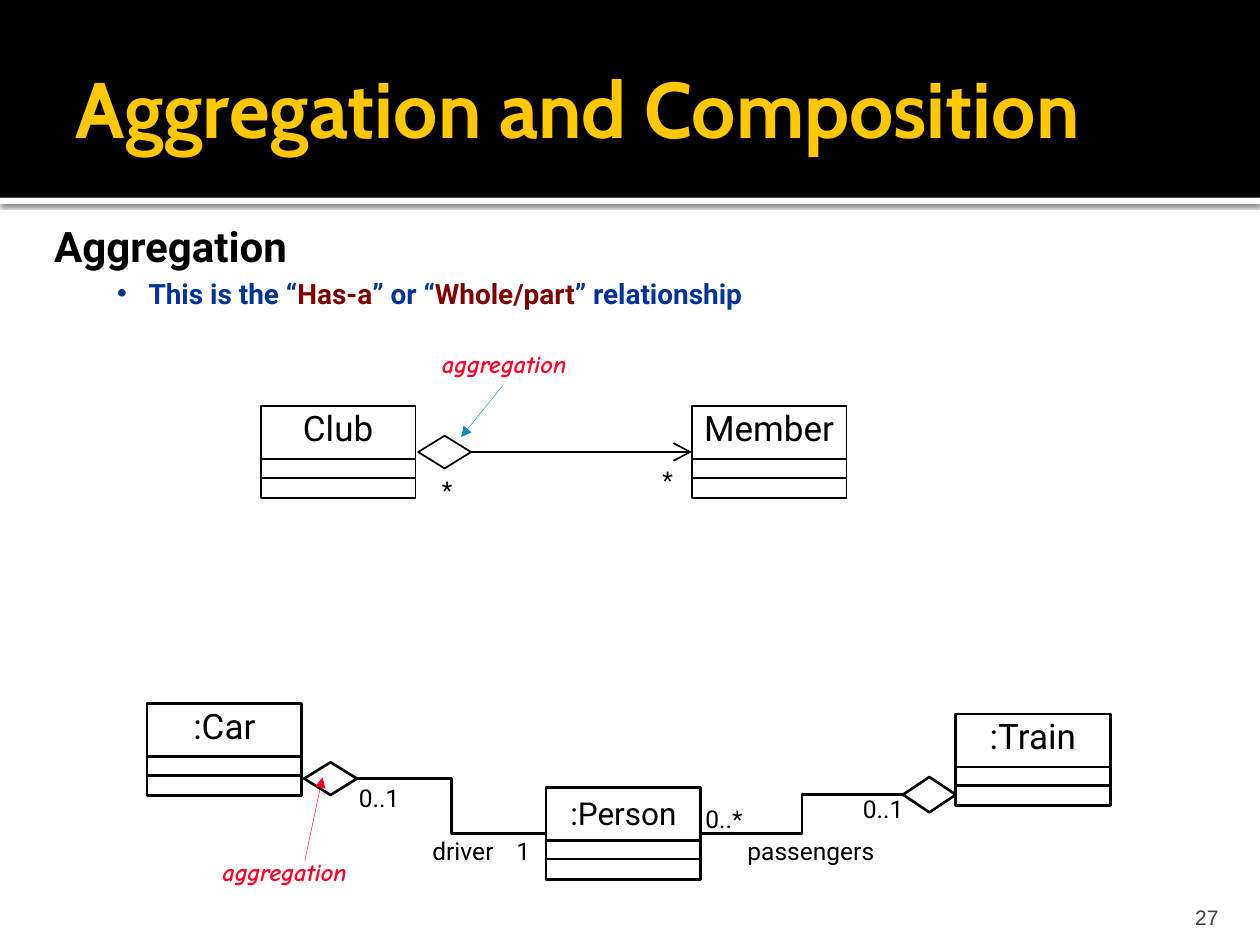
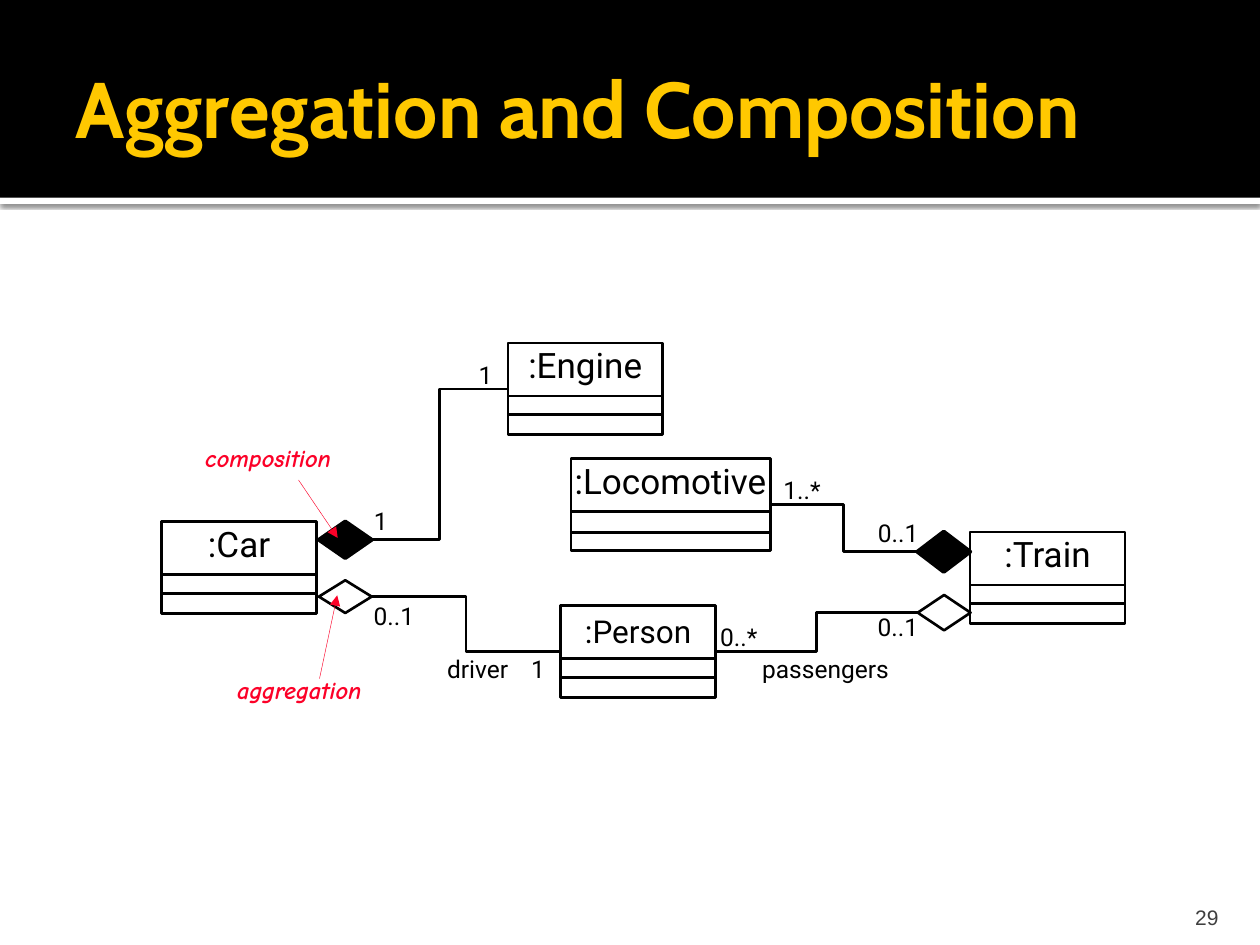
"""Build two UML slides about aggregation and composition."""
from dataclasses import dataclass
from typing import NamedTuple

from lxml import etree
from pptx import Presentation, util as u
from pptx.dml.color import RGBColor
from pptx.enum import shapes, text
from pptx.oxml import ns, parse_xml

Pt = u.Pt


@dataclass(frozen=True)
class Theme:
    black: str = "000000"
    white: str = "FFFFFF"
    title: str = "FFC800"
    number: str = "3F3F3F"
    bullet: str = "003399"
    keyword: str = "800000"
    callout: str = "FC0128"
    pointer: str = "168BBA"
    title_font: str = "Cabin"
    body_font: str = "Roboto"
    callout_font: str = "Comic Neue"
    number_font: str = "Arial"
    title_size: float = 45
    heading_size: float = 24
    class_size: float = 20
    bullet_size: float = 16
    label_size: float = 14
    number_size: float = 12
    thin: float = 1
    regular: float = 1.5
    heavy: float = 2.25
    hairline: float = 0.25


THEME = Theme()
TITLE = "Aggregation and Composition"
LABEL_WIDTHS = {"*": 20, "1": 22, "0..*": 37, "1..*": 37, "0..1": 38,
                "driver": 50, "passengers": 87, "composition": 91, "aggregation": 92}
LEFT, RIGHT = 1, 3


class Point(NamedTuple):
    x: float
    y: float

    def shifted(self, offset: "Point") -> "Point":
        return Point(self.x + offset.x, self.y + offset.y)


ORIGIN = Point(0, 0)


@dataclass(frozen=True)
class UmlClass:
    name: str
    at: Point
    width: float = 88.5
    line: float = THEME.regular
    size: float = THEME.class_size
    inset: float = 0.3
    compartment: float = 10.8


@dataclass(frozen=True)
class Diamond:
    at: Point
    height: float
    fill: str = THEME.white
    line: float = THEME.regular


@dataclass(frozen=True)
class Label:
    text: str
    at: Point


@dataclass(frozen=True)
class Callout:
    text: str
    at: Point
    start: Point
    tip: Point
    color: str = THEME.callout


def style(font, name: str, size: float, color: str, bold: bool = False, italic: bool = False) -> None:
    font.name, font.size, font.bold, font.italic = name, Pt(size), bold, italic
    font.color.rgb = RGBColor.from_string(color)


def set_insets(frame, left: float, top: float, right: float, bottom: float) -> None:
    frame.margin_left, frame.margin_top = Pt(left), Pt(top)
    frame.margin_right, frame.margin_bottom = Pt(right), Pt(bottom)


def add_box(slide, kind, at: Point, width: float, height: float, fill: str = "", line: float = 0):
    shape = slide.shapes.add_shape(kind, Pt(at.x), Pt(at.y), Pt(width), Pt(height))
    shape.shadow.inherit = False
    if fill:
        shape.fill.solid()
        shape.fill.fore_color.rgb = RGBColor.from_string(fill)
    else:
        shape.fill.background()
    if line:
        shape.line.color.rgb = RGBColor.from_string(THEME.black)
        shape.line.width = Pt(line)
    else:
        shape.line.fill.background()
    return shape


def add_text(slide, at: Point, width: float, height: float):
    box = slide.shapes.add_textbox(Pt(at.x), Pt(at.y), Pt(width), Pt(height))
    box.text_frame.word_wrap = True
    set_insets(box.text_frame, 7.2, 3.6, 7.2, 3.6)
    return box.text_frame


def add_line(slide, kind, start: Point, end: Point, color: str, width: float, head: str = ""):
    connector = slide.shapes.add_connector(kind, Pt(start.x), Pt(start.y), Pt(end.x), Pt(end.y))
    connector.line.color.rgb = RGBColor.from_string(color)
    connector.line.width = Pt(width)
    properties = connector.element.spPr
    if head:
        size = "lg" if head == "arrow" else "med"
        outline = properties.find(ns.qn("a:ln"))
        etree.SubElement(outline, ns.qn("a:tailEnd"), type=head, w=size, len=size)
    etree.SubElement(properties, ns.qn("a:effectLst"))
    return connector


def join(slide, kind, whole, part, width: float = THEME.regular, head: str = "") -> None:
    connector = add_line(slide, kind, ORIGIN, ORIGIN, THEME.black, width, head)
    connector.begin_connect(whole, RIGHT)
    connector.end_connect(part, LEFT)


def draw_class(slide, item: UmlClass, offset: Point = ORIGIN):
    at = item.at.shifted(offset)
    rectangle = shapes.MSO_SHAPE.RECTANGLE
    box = add_box(slide, rectangle, at, item.width, 52.5, line=item.line)
    frame = box.text_frame
    frame.word_wrap = False
    frame.vertical_anchor = text.MSO_ANCHOR.TOP
    set_insets(frame, 7.2, item.inset, 7.2, 0)
    frame.text = item.name
    frame.paragraphs[0].alignment = text.PP_ALIGN.CENTER
    style(frame.paragraphs[0].runs[0].font, THEME.body_font, item.size, THEME.black)
    add_box(slide, rectangle, at.shifted(Point(0, 30.2)), item.width, item.compartment, line=item.line)
    return box


def draw_diamond(slide, item: Diamond, offset: Point = ORIGIN):
    return add_box(slide, shapes.MSO_SHAPE.DIAMOND, item.at.shifted(offset), 30.2,
                   item.height, item.fill, item.line)


def draw_label(slide, item: Label, offset: Point = ORIGIN, callout: bool = False) -> None:
    frame = add_text(slide, item.at.shifted(offset), LABEL_WIDTHS[item.text], 24)
    frame.word_wrap = False
    frame.auto_size = text.MSO_AUTO_SIZE.SHAPE_TO_FIT_TEXT
    frame.text = item.text
    font = THEME.callout_font if callout else THEME.body_font
    color = THEME.callout if callout else THEME.black
    style(frame.paragraphs[0].runs[0].font, font, THEME.label_size, color, callout, callout)


def draw_callout(slide, item: Callout, offset: Point = ORIGIN) -> None:
    draw_label(slide, Label(item.text, item.at), offset, callout=True)
    add_line(slide, shapes.MSO_CONNECTOR.STRAIGHT, item.start.shifted(offset),
             item.tip.shifted(offset), item.color, THEME.hairline, "triangle")


def add_slide(presentation, number: str):
    slide = presentation.slides.add_slide(presentation.slide_layouts[5])
    rectangle = shapes.MSO_SHAPE.RECTANGLE
    rule = add_box(slide, rectangle, Point(0, 113), 720, 3.6, THEME.white)
    rule.element.spPr.remove(rule.element.spPr.find(ns.qn("a:effectLst")))
    rule.element.spPr.append(parse_xml(
        f'<a:effectLst {ns.nsdecls("a")}><a:outerShdw blurRad="{Pt(2.5)}" dist="{Pt(0.8)}" '
        f'dir="5400000" algn="t" rotWithShape="0"><a:srgbClr val="{THEME.black}">'
        '<a:alpha val="60000"/></a:srgbClr></a:outerShdw></a:effectLst>'))
    add_box(slide, rectangle, ORIGIN, 720, 113, THEME.black)

    title = slide.shapes.title
    title.element.getparent().append(title.element)
    title.left, title.top, title.width, title.height = Pt(36), Pt(12), Pt(648), Pt(98.6)
    frame = title.text_frame
    frame.text = TITLE
    frame.word_wrap = True
    frame.auto_size = text.MSO_AUTO_SIZE.NONE
    frame.vertical_anchor = text.MSO_ANCHOR.MIDDLE
    set_insets(frame, 7.2, 3.6, 3.6, 3.6)
    frame.paragraphs[0].alignment = text.PP_ALIGN.LEFT
    style(frame.paragraphs[0].runs[0].font, THEME.title_font, THEME.title_size, THEME.title, True)

    footer = add_text(slide, Point(645.8, 509.8), 57.6, 21.6)
    footer.margin_bottom = 0
    footer.vertical_anchor = text.MSO_ANCHOR.BOTTOM
    footer.text = number
    footer.paragraphs[0].alignment = text.PP_ALIGN.RIGHT
    style(footer.paragraphs[0].runs[0].font, THEME.number_font, THEME.number_size, THEME.number)
    return slide


def draw_definition(slide) -> None:
    frame = add_text(slide, Point(23.8, 122.4), 672, 387.4)
    frame.text = "Aggregation"
    style(frame.paragraphs[0].runs[0].font, THEME.body_font, THEME.heading_size, THEME.black, True)
    paragraph = frame.add_paragraph()
    paragraph.level = 1
    properties = paragraph._p.get_or_add_pPr()
    properties.set("marL", str(Pt(54)))
    properties.set("indent", str(Pt(-18)))
    color = etree.SubElement(properties, ns.qn("a:buClr"))
    etree.SubElement(color, ns.qn("a:srgbClr"), val=THEME.bullet)
    etree.SubElement(properties, ns.qn("a:buFont"), typeface=THEME.number_font)
    etree.SubElement(properties, ns.qn("a:buChar"), char="•")
    paragraph.space_before = Pt(3.2)
    parts = ("This is the “", "Has-a", "” or “", "Whole/part", "” relationship")
    for index, part in enumerate(parts):
        run = paragraph.add_run()
        run.text = part
        color = THEME.keyword if index % 2 else THEME.bullet
        style(run.font, THEME.body_font, THEME.bullet_size, color, True)


def draw_club(slide) -> None:
    draw_class(slide, UmlClass("Club", Point(149, 232), line=THEME.thin))
    member = draw_class(slide, UmlClass("Member", Point(395.3, 232), line=THEME.thin))
    diamond = draw_diamond(slide, Diamond(Point(239, 249), 18.7, line=THEME.thin))
    join(slide, shapes.MSO_CONNECTOR.STRAIGHT, diamond, member, THEME.thin, "arrow")
    for at in (Point(245.5, 268), Point(371.5, 262)):
        draw_label(slide, Label("*", at))
    draw_callout(slide, Callout("aggregation", Point(245.5, 196), Point(287.3, 220.3),
                                Point(263.5, 249.8), THEME.pointer))


def draw_travel(slide, offset: Point = ORIGIN) -> None:
    draw_class(slide, UmlClass(":Car", Point(84, 402)), offset)
    draw_class(slide, UmlClass(":Train", Point(546, 408)), offset)
    person = draw_class(slide, UmlClass(":Person", Point(312, 450), size=18, inset=3.6), offset)
    car_end = draw_diamond(slide, Diamond(Point(173.8, 435.6), 18.7), offset)
    train_end = draw_diamond(slide, Diamond(Point(516, 444), 20.2), offset)
    join(slide, shapes.MSO_CONNECTOR.ELBOW, car_end, person)
    join(slide, shapes.MSO_CONNECTOR.ELBOW, person, train_end)
    for label in (Label("0..1", Point(198, 444)), Label("0..1", Point(486, 450)),
                  Label("0..*", Point(396, 456)), Label("driver", Point(240, 474)),
                  Label("1", Point(288, 474)), Label("passengers", Point(420, 474))):
        draw_label(slide, label, offset)
    draw_callout(slide, Callout("aggregation", Point(120, 486), Point(174.2, 491.8),
                                Point(184.3, 444.2)), offset)


def draw_composition(slide) -> None:
    engine = draw_class(slide, UmlClass(":Engine", Point(290.2, 196)))
    locomotive = draw_class(slide, UmlClass(":Locomotive", Point(326.2, 262), 114, compartment=12.2))
    car_end = draw_diamond(slide, Diamond(Point(182.2, 298), 20.9, THEME.black, THEME.heavy))
    train_end = draw_diamond(slide, Diamond(Point(524.2, 303.8), 23, THEME.black, THEME.heavy))
    join(slide, shapes.MSO_CONNECTOR.ELBOW, car_end, engine)
    join(slide, shapes.MSO_CONNECTOR.ELBOW, locomotive, train_end)
    for label in (Label("1", Point(206.6, 285.8)), Label("1", Point(266.4, 202.3)),
                  Label("1..*", Point(440.6, 267.8)), Label("0..1", Point(494.6, 292.3))):
        draw_label(slide, label)
    draw_callout(slide, Callout("composition", Point(110.2, 249.8), Point(170.6, 274.3),
                                Point(193, 307.4)))


def main() -> None:
    presentation = Presentation()
    presentation.slide_width, presentation.slide_height = Pt(720), Pt(540)
    aggregation = add_slide(presentation, "27")
    draw_definition(aggregation)
    draw_club(aggregation)
    draw_travel(aggregation)
    combined = add_slide(presentation, "29")
    draw_travel(combined, Point(8.4, -104))
    draw_composition(combined)
    presentation.save("out.pptx")


if __name__ == "__main__":
    main()
